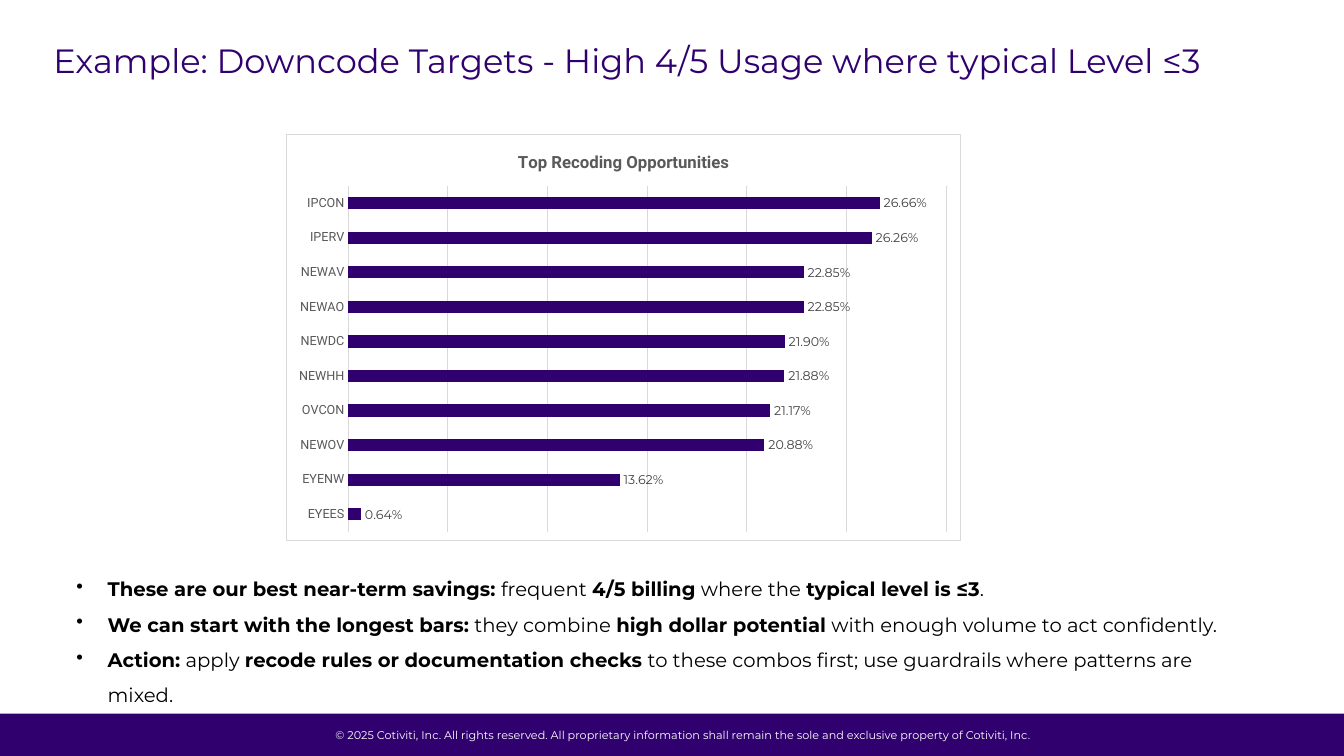
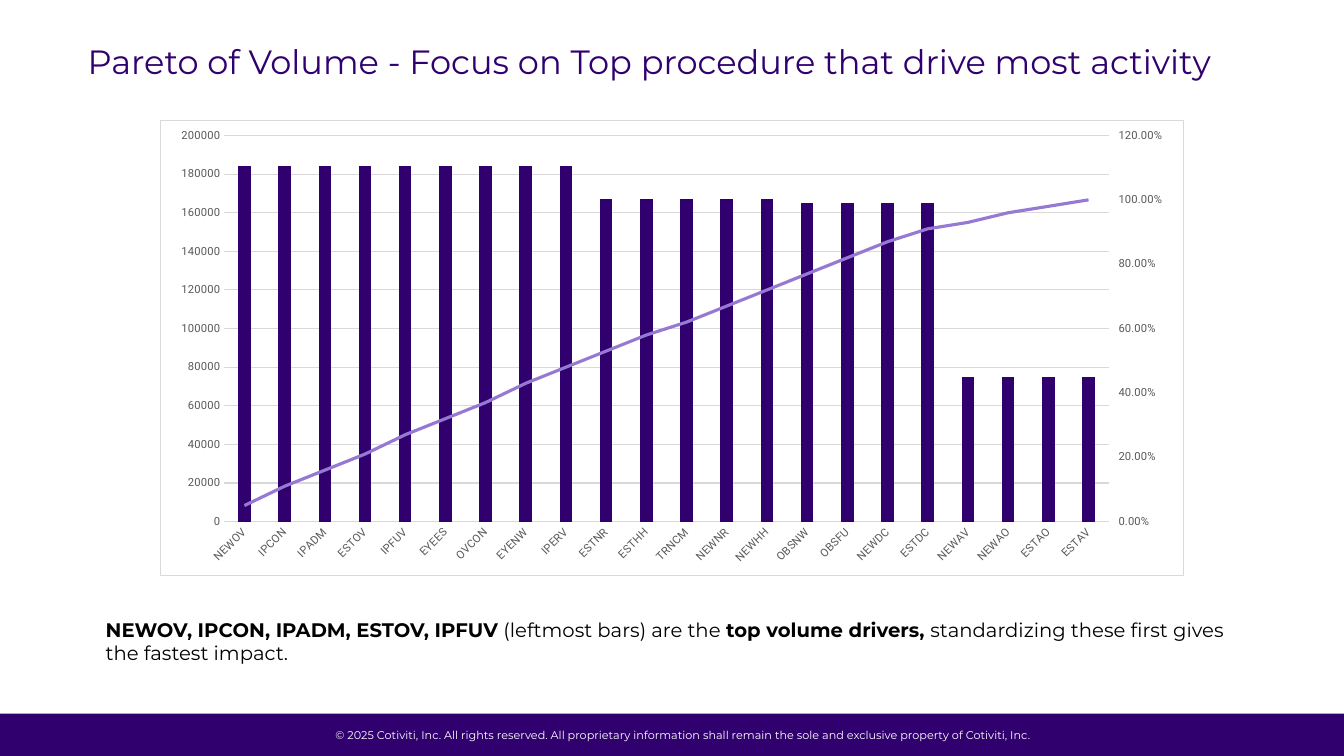
from pptx import Presentation
from pptx.chart.axis import ValueAxis
from pptx.chart.data import CategoryChartData
from pptx.dml.color import RGBColor
from pptx.enum.chart import XL_CHART_TYPE, XL_LABEL_POSITION, XL_MARKER_STYLE, XL_TICK_MARK
from pptx.enum.shapes import MSO_SHAPE
from pptx.enum.text import MSO_ANCHOR, PP_ALIGN
from pptx.oxml import parse_xml
from pptx.oxml.ns import nsdecls, qn
from pptx.util import Emu, Pt

PURPLE, LILAC = "30006F", "9579D3"
BLACK, WHITE = "000000", "FFFFFF"
GRID, AXIS_TEXT, LABEL_TEXT = "D9D9D9", "595959", "404040"
TEXT_FONT, CHART_FONT = "Montserrat", "Roboto"
PERCENT = "0.00%"
SLIDE_WIDTH, SLIDE_HEIGHT = 1333, 750
FOOTER_TOP = 708
COPYRIGHT = ("© 2025 Cotiviti, Inc. All rights reserved. All proprietary information "
             "shall remain the sole and exclusive property of Cotiviti, Inc.")

RECODING_RATES = {
    "EYEES": 0.0064, "EYENW": 0.1362, "NEWOV": 0.2088, "OVCON": 0.2117, "NEWHH": 0.2188,
    "NEWDC": 0.219, "NEWAO": 0.2285, "NEWAV": 0.2285, "IPERV": 0.2626, "IPCON": 0.2666,
}
SAVINGS_POINTS = [
    ["These are our best near-term savings:", " frequent ", "4/5 billing",
     " where the ", "typical level is ≤3", "."],
    ["We can start with the longest bars:", " they combine ", "high dollar potential",
     " with enough volume to act confidently."],
    ["Action:", " apply ", "recode rules or documentation checks",
     " to these combos first; use guardrails where patterns are mixed."],
]
PROCEDURES = ("NEWOV IPCON IPADM ESTOV IPFUV EYEES OVCON EYENW IPERV ESTNR ESTHH "
              "TRNCM NEWNR NEWHH OBSNW OBSFU NEWDC ESTDC NEWAV NEWAO ESTAO ESTAV").split()
VOLUMES = [184000] * 9 + [167000] * 5 + [165000] * 4 + [75000] * 4
CUMULATIVE_SHARES = [0.05, 0.11, 0.16, 0.21, 0.27, 0.32, 0.37, 0.43, 0.48, 0.53, 0.58,
                     0.62, 0.67, 0.72, 0.77, 0.82, 0.87, 0.91, 0.93, 0.96, 0.98, 1]
VOLUME_POINT = ["NEWOV, IPCON, IPADM, ESTOV, IPFUV", " (leftmost bars) are the ",
                "top volume drivers, ", "standardizing these first gives the fastest impact."]


def px(value):
    """Turn px, 100 to the inch, into EMU."""
    return Emu(value * 9144)


def color(hex_code):
    return RGBColor.from_string(hex_code)


def style_font(font, size, hex_code, name=TEXT_FONT, bold=False):
    font.name, font.size, font.bold = name, Pt(size), bold
    font.color.rgb = color(hex_code)


def add_text(slide, box, paragraphs, size, hex_code, first_bold=False, align=None,
             spacing=None, bullet=False, inset=None, anchor=MSO_ANCHOR.TOP):
    """Add paragraphs given as lists of runs; with first_bold every other run is bold."""
    frame = slide.shapes.add_textbox(*map(px, box)).text_frame
    frame.word_wrap = True
    frame.vertical_anchor = anchor
    if inset is not None:
        frame.margin_left = frame.margin_top = px(inset)
        frame.margin_right = frame.margin_bottom = px(inset)
    for number, runs in enumerate(paragraphs):
        paragraph = frame.add_paragraph() if number else frame.paragraphs[0]
        if bullet:
            add_bullet(paragraph)
        paragraph.alignment = align
        paragraph.line_spacing = spacing
        for position, text in enumerate(runs):
            run = paragraph.add_run()
            run.text = text
            style_font(run.font, size, hex_code, bold=first_bold and position % 2 == 0)


def add_bullet(paragraph):
    properties = paragraph._p.get_or_add_pPr()
    properties.set("marL", str(px(31)))
    properties.set("indent", str(px(-31)))
    properties.append(parse_xml(f'<a:buChar {nsdecls("a")} char="•"/>'))


def add_title(slide, box, text):
    add_text(slide, box, [[text]], 24, PURPLE, spacing=0.9, inset=0)


def add_footer(slide):
    band = slide.shapes.add_shape(
        MSO_SHAPE.RECTANGLE, 0, px(FOOTER_TOP), px(SLIDE_WIDTH), px(SLIDE_HEIGHT - FOOTER_TOP))
    band.shadow.inherit = False
    band.fill.solid()
    band.fill.fore_color.rgb = color(PURPLE)
    band.line.fill.background()
    add_text(slide, (298, 718, 760, 24), [[COPYRIGHT]], 8, WHITE, align=PP_ALIGN.CENTER)


def add_chart(slide, kind, box, plot_box, categories, series_values, gap):
    """Add a bordered chart whose plot area fills plot_box, in px on the slide."""
    data = CategoryChartData()
    data.categories = categories
    for number, values in enumerate(series_values, 1):
        data.add_series(f"Series {number}", values)
    chart = slide.shapes.add_chart(kind, *map(px, box), data).chart
    style_font(chart.font, 10, BLACK)
    chart.has_legend = chart.has_title = False
    plot = chart.plots[0]
    plot.gap_width = gap
    plot.vary_by_categories = False
    fill = plot.series[0].format.fill
    fill.solid()
    fill.fore_color.rgb = color(PURPLE)
    add_border(chart)
    place_plot(chart, box, plot_box)
    return chart


def add_border(chart):
    chart.element.find(qn("c:chart")).addnext(parse_xml(
        f'<c:spPr {nsdecls("c", "a")}><a:noFill/><a:ln w="{Pt(0.75)}"><a:solidFill>'
        f'<a:srgbClr val="{GRID}"/></a:solidFill></a:ln></c:spPr>'))


def place_plot(chart, box, plot_box):
    left, top, width, height = box
    plot_left, plot_top, plot_width, plot_height = plot_box
    fractions = {"x": (plot_left - left) / width, "y": (plot_top - top) / height,
                 "w": plot_width / width, "h": plot_height / height}
    modes = "".join(f'<c:{name}Mode val="edge"/>' for name in "xy")
    sizes = "".join(f'<c:{name} val="{value:.4f}"/>' for name, value in fractions.items())
    plot_area = chart.element.xpath("c:chart/c:plotArea")[0]
    for layout in plot_area.findall(qn("c:layout")):
        plot_area.remove(layout)
    plot_area.insert(0, parse_xml(
        f'<c:layout {nsdecls("c")}><c:manualLayout><c:layoutTarget val="inner"/>'
        f'{modes}{sizes}</c:manualLayout></c:layout>'))


def style_line(line, hex_code, width):
    line.color.rgb = color(hex_code)
    line.width = Pt(width)


def style_category_axis(axis, size):
    axis.major_tick_mark = XL_TICK_MARK.NONE
    style_font(axis.tick_labels.font, size, AXIS_TEXT, CHART_FONT)
    style_line(axis.format.line, GRID, 0.75)


def style_value_axis(axis, maximum, step, number_format, gridlines=True,
                     tick=XL_TICK_MARK.NONE):
    axis.minimum_scale, axis.maximum_scale, axis.major_unit = 0, maximum, step
    axis.has_major_gridlines = gridlines
    if gridlines:
        style_line(axis.major_gridlines.format.line, GRID, 0.75)
    axis.major_tick_mark = tick
    axis.tick_labels.number_format = number_format
    axis.tick_labels.number_format_is_linked = False
    style_font(axis.tick_labels.font, 8, AXIS_TEXT, CHART_FONT)
    axis.format.line.fill.background()


def move_last_series_to_line(chart):
    """Draw the last column series as a line and return its new right-hand axis."""
    series = chart.plots[0].series[-1]._element
    for flag in series.findall(qn("c:invertIfNegative")):
        series.remove(flag)
    category_id, value_id = 5001, 5002
    line_chart = parse_xml(
        f'<c:lineChart {nsdecls("c")}><c:grouping val="standard"/><c:varyColors val="0"/>'
        f'<c:marker val="1"/><c:axId val="{category_id}"/><c:axId val="{value_id}"/>'
        '</c:lineChart>')
    line_chart.insert(2, series)
    bar_chart = chart.element.xpath("c:chart/c:plotArea/c:barChart")[0]
    bar_chart.addnext(line_chart)

    def axis_element(tag, axis_id, cross_id, hidden, side, crosses):
        return parse_xml(
            f'<c:{tag} {nsdecls("c")}><c:axId val="{axis_id}"/><c:scaling>'
            f'<c:orientation val="minMax"/></c:scaling><c:delete val="{hidden}"/>'
            f'<c:axPos val="{side}"/><c:majorTickMark val="out"/><c:minorTickMark val="none"/>'
            f'<c:tickLblPos val="nextTo"/><c:crossAx val="{cross_id}"/>'
            f'<c:crosses val="{crosses}"/></c:{tag}>')

    value_element = axis_element("valAx", value_id, category_id, 0, "r", "max")
    category_element = axis_element("catAx", category_id, value_id, 1, "b", "autoZero")
    last_axis = chart.element.xpath("c:chart/c:plotArea/c:valAx")[-1]
    last_axis.addnext(value_element)
    value_element.addnext(category_element)
    return ValueAxis(value_element)


def add_recoding_chart(slide):
    chart = add_chart(slide, XL_CHART_TYPE.BAR_CLUSTERED, (284, 133, 669, 404),
                      (345, 184, 594, 344), list(RECODING_RATES),
                      [list(RECODING_RATES.values())], gap=182)
    chart.has_title = True
    run = chart.chart_title.text_frame.paragraphs[0].add_run()
    run.text = "Top Recoding Opportunities"
    style_font(run.font, 12, AXIS_TEXT, CHART_FONT, bold=True)
    style_category_axis(chart.category_axis, 9)
    style_value_axis(chart.value_axis, 0.3, 0.05, PERCENT)
    chart.value_axis.visible = False
    labels = chart.plots[0].series[0].data_labels
    labels.show_value = True
    labels.position = XL_LABEL_POSITION.OUTSIDE_END
    labels.number_format = PERCENT
    labels.number_format_is_linked = False
    style_font(labels.font, 9, LABEL_TEXT)


def add_pareto_chart(slide):
    chart = add_chart(slide, XL_CHART_TYPE.COLUMN_CLUSTERED, (159, 119, 1015, 452),
                      (222, 134, 878, 384), PROCEDURES, [VOLUMES, CUMULATIVE_SHARES], gap=219)
    chart.plots[0].overlap = -27
    style_category_axis(chart.category_axis, 8)
    chart.element.xpath("c:chart/c:plotArea/c:catAx/c:txPr/a:bodyPr")[0].set("rot", "-2700000")
    style_value_axis(chart.value_axis, 200000, 20000, "0")
    share_axis = move_last_series_to_line(chart)
    style_value_axis(share_axis, 1.2, 0.2, PERCENT, gridlines=False, tick=XL_TICK_MARK.OUTSIDE)
    share_line = chart.plots[1].series[0]
    share_line.smooth = False
    share_line.marker.style = XL_MARKER_STYLE.NONE
    style_line(share_line.format.line, LILAC, 2.25)


def add_slide(presentation):
    slide = presentation.slides.add_slide(presentation.slide_layouts[6])
    add_footer(slide)
    return slide


def build_downcode_slide(presentation):
    slide = add_slide(presentation)
    add_recoding_chart(slide)
    add_title(slide, (53, 44, 1198, 37),
              "Example: Downcode Targets - High 4/5 Usage where typical Level ≤3")
    add_text(slide, (66, 555, 1190, 152), SAVINGS_POINTS, 14, BLACK, first_bold=True,
             spacing=1.5, bullet=True, anchor=MSO_ANCHOR.MIDDLE)


def build_pareto_slide(presentation):
    slide = add_slide(presentation)
    add_pareto_chart(slide)
    add_title(slide, (87, 45, 1160, 37),
              "Pareto of Volume - Focus on Top procedure that drive most activity")
    add_text(slide, (95, 608, 1144, 57), [VOLUME_POINT], 14, BLACK, first_bold=True)


def main():
    presentation = Presentation()
    presentation.slide_width, presentation.slide_height = px(SLIDE_WIDTH), px(SLIDE_HEIGHT)
    build_downcode_slide(presentation)
    build_pareto_slide(presentation)
    presentation.save("out.pptx")


if __name__ == "__main__":
    main()
